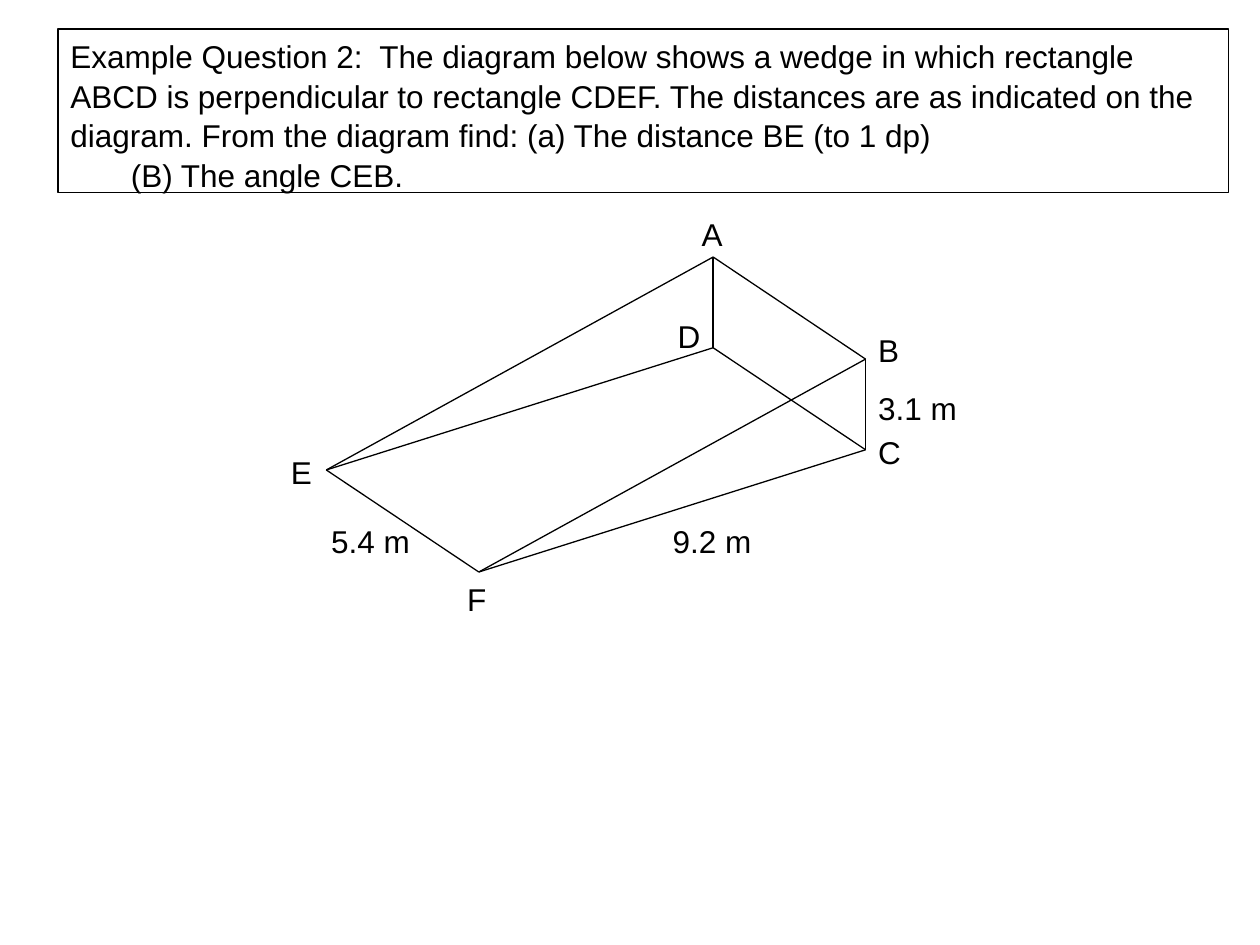
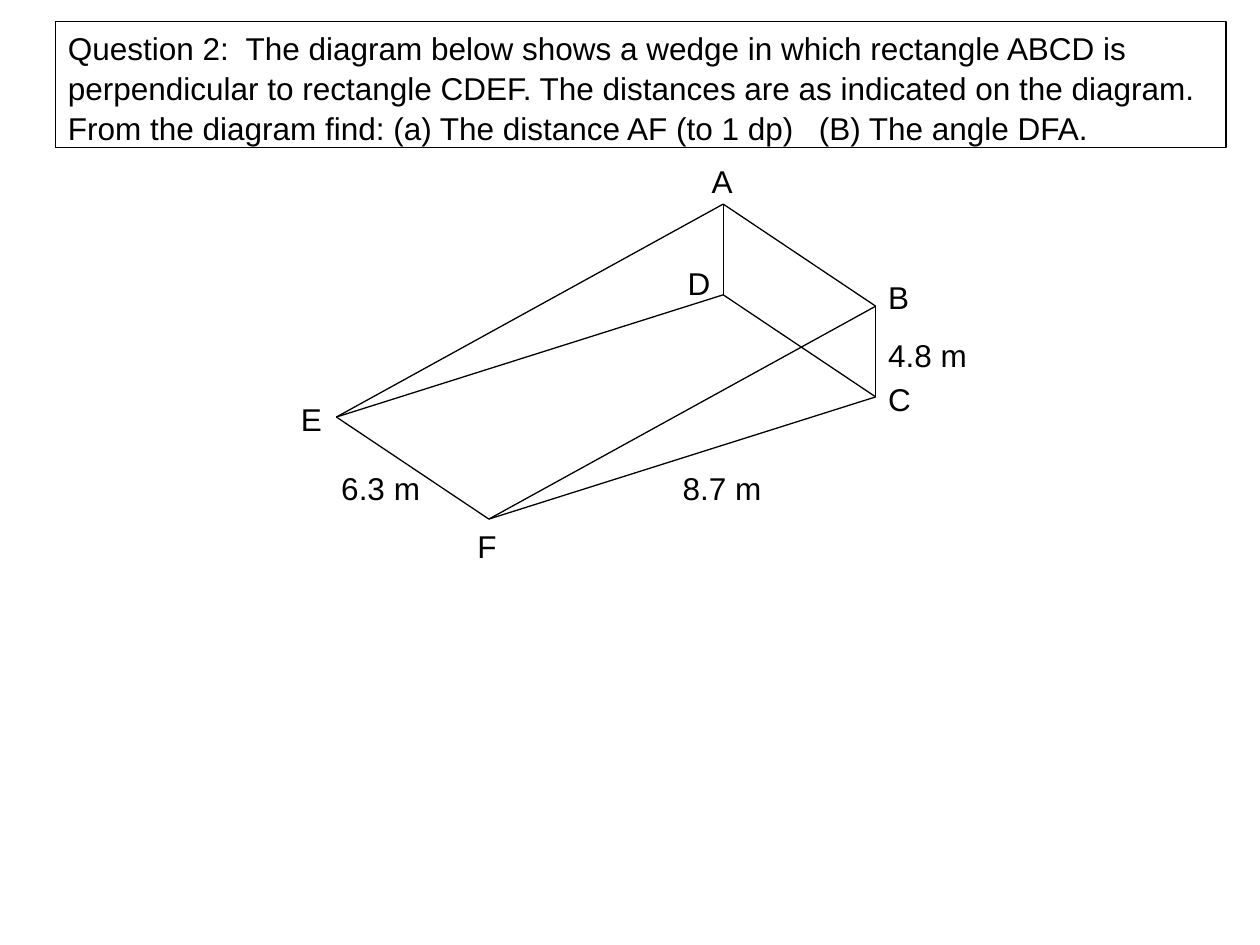
from dataclasses import dataclass

from lxml.etree import SubElement
from pptx import Presentation
from pptx.dml.color import RGBColor
from pptx.enum.shapes import MSO_CONNECTOR as Connector, MSO_SHAPE as Shape
from pptx.enum.text import MSO_ANCHOR as Anchor, PP_ALIGN as Align
from pptx.oxml.ns import qn
from pptx.util import Inches, Pt


@dataclass(frozen=True)
class Theme:
    ink: RGBColor = RGBColor(0, 0, 0)
    paper: RGBColor = RGBColor(255, 255, 255)
    font: str = "Arial"
    text_size: float = 18
    line_width: float = 0.75
    line_spacing: float = 1.05


THEME = Theme()

CORNERS = {
    "A": (0, 0),
    "B": (1.21, 0.81),
    "C": (1.21, 1.53),
    "D": (0, 0.72),
    "E": (-3.07, 1.69),
    "F": (-1.86, 2.5),
}
EDGES = ("CD", "FC", "BA", "BC", "AD", "ED", "EF", "EA", "FB")
CORNER_LABELS = {
    "A": (-0.19, -0.4),
    "B": (1.21, 0.52),
    "C": (1.21, 1.33),
    "D": (-0.38, 0.41),
    "E": (-3.45, 1.49),
    "F": (-2.05, 2.5),
}
LENGTH_LABELS = {"EF": (-3.13, 2.04), "CF": (-0.42, 2.04), "BC": (1.21, 0.98)}


def write_text(paragraph, text, indent=0, tab_stop=None):
    properties = paragraph._p.get_or_add_pPr()
    if indent:
        properties.set("marL", str(Inches(indent)))
        properties.set("indent", "0")
    if tab_stop:
        tab_list = SubElement(properties, qn("a:tabLst"))
        SubElement(tab_list, qn("a:tab"), pos=str(Inches(tab_stop)), algn="l")
    paragraph.alignment = Align.LEFT
    paragraph.line_spacing = THEME.line_spacing
    run = paragraph.add_run()
    run.text = text
    run.font.name = THEME.font
    run.font.size = Pt(THEME.text_size)
    run.font.color.rgb = THEME.ink


def add_question(slide, left, top, height, paragraphs):
    box = slide.shapes.add_shape(
        Shape.RECTANGLE, Inches(left), Inches(top), Inches(9.29), Inches(height)
    )
    box.shadow.inherit = False
    box.fill.background()
    box.line.color.rgb = THEME.ink
    box.line.width = Pt(THEME.line_width)
    frame = box.text_frame
    frame.word_wrap = True
    frame.vertical_anchor = Anchor.TOP
    for number, (text, text_format) in enumerate(paragraphs):
        paragraph = frame.add_paragraph() if number else frame.paragraphs[0]
        write_text(paragraph, text, **text_format)


def add_edge(group, start, end):
    points = [Inches(value) for value in (*start, *end)]
    edge = group.shapes.add_connector(Connector.STRAIGHT, *points)
    edge.line.color.rgb = THEME.ink
    edge.line.width = Pt(THEME.line_width)
    SubElement(edge._element.spPr, qn("a:effectLst"))


def add_label(group, text, position, width):
    left, top = position
    label = group.shapes.add_textbox(
        Inches(left), Inches(top), Inches(width), Inches(0.4)
    )
    label.text_frame.word_wrap = True
    write_text(label.text_frame.paragraphs[0], text)


def add_wedge(slide, apex, lengths):
    def place(offset):
        return apex[0] + offset[0], apex[1] + offset[1]

    group = slide.shapes.add_group_shape()
    for start, end in EDGES:
        add_edge(group, place(CORNERS[start]), place(CORNERS[end]))
    for corner, offset in CORNER_LABELS.items():
        add_label(group, corner, place(offset), 0.38)
    for side, offset in LENGTH_LABELS.items():
        add_label(group, lengths[side], place(offset), 0.98)


def add_blank_slide(presentation):
    slide = presentation.slides.add_slide(presentation.slide_layouts[6])
    slide.background.fill.solid()
    slide.background.fill.fore_color.rgb = THEME.paper
    return slide


def main():
    presentation = Presentation()
    presentation.slide_width = Inches(10)
    presentation.slide_height = Inches(7.5)

    statement = (
        "The diagram below shows a wedge in which rectangle ABCD is "
        "perpendicular to rectangle CDEF. The distances are as indicated "
        "on the diagram. From the diagram find: (a) The distance "
    )

    example = add_blank_slide(presentation)
    add_wedge(example, (5.66, 2.04), {"EF": "5.4 m", "CF": "9.2 m", "BC": "3.1 m"})
    add_question(example, 0.46, 0.23, 1.3, [
        (f"Example Question 2:  {statement}BE (to 1 dp)", {}),
        ("(B) The angle CEB.", {"indent": 0.48}),
    ])

    exercise = add_blank_slide(presentation)
    add_wedge(exercise, (5.74, 1.62), {"EF": "6.3 m", "CF": "8.7 m", "BC": "4.8 m"})
    add_question(exercise, 0.44, 0.17, 1, [
        (f"Question 2:  {statement}AF (to 1 dp)\t(B) The angle DFA.",
         {"tab_stop": 5.96}),
    ])

    presentation.save("out.pptx")


if __name__ == "__main__":
    main()
